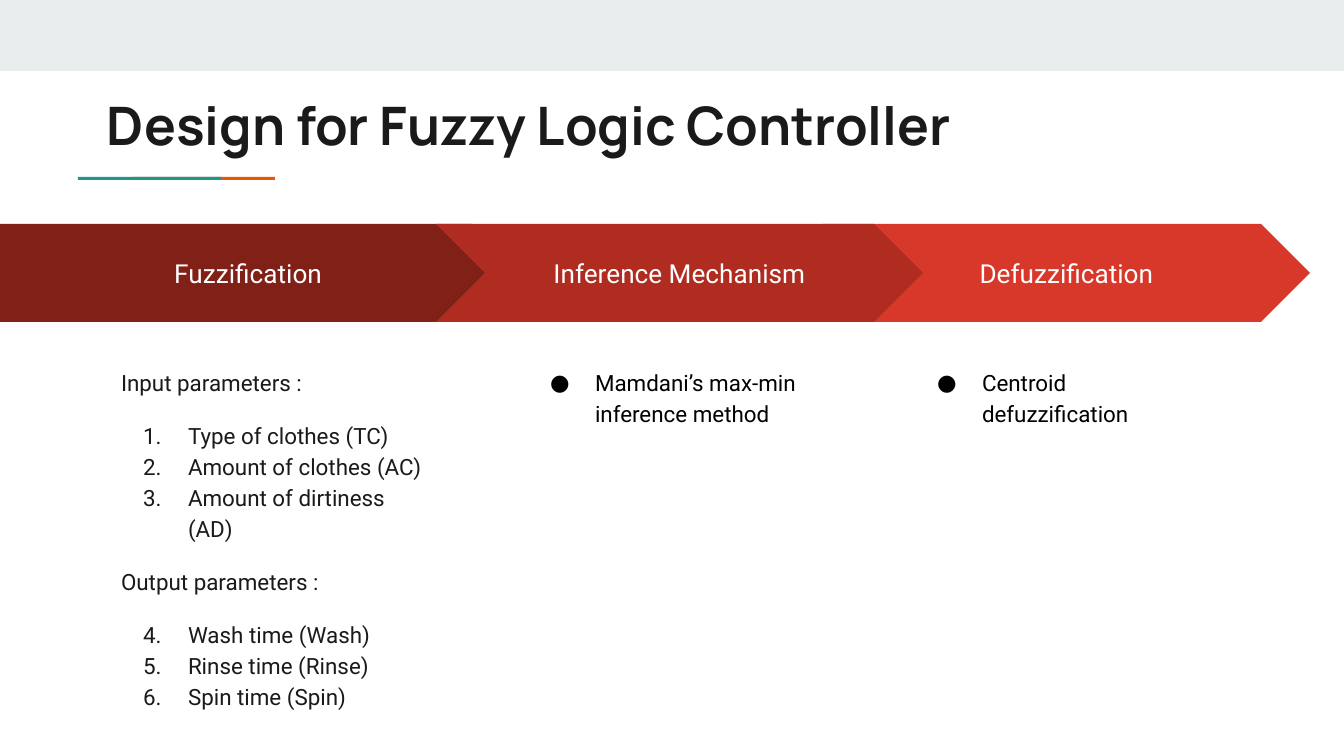
from dataclasses import dataclass

from lxml import etree
from pptx import Presentation
from pptx.dml.color import RGBColor
from pptx.enum.shapes import MSO_SHAPE
from pptx.enum.text import MSO_ANCHOR, MSO_AUTO_SIZE, PP_ALIGN
from pptx.oxml.ns import qn
from pptx.util import Pt

RECTANGLE = MSO_SHAPE.RECTANGLE
CHEVRON = MSO_SHAPE.CHEVRON
PENTAGON = MSO_SHAPE.PENTAGON
TOP, MIDDLE = MSO_ANCHOR.TOP, MSO_ANCHOR.MIDDLE
LEFT, CENTER = PP_ALIGN.LEFT, PP_ALIGN.CENTER
NO_AUTOFIT = MSO_AUTO_SIZE.NONE

EMU_PER_PX = 914400 / 134.4
INSET = 13
COMPARISON_LAYOUT = 4


@dataclass(frozen=True)
class Theme:
    heading_font: str = "Manrope"
    body_font: str = "Roboto"
    title_size: float = 28.4
    step_size: float = 14
    body_size: float = 12
    band: str = "E9EDEE"
    teal: str = "1A9988"
    orange: str = "EB5600"
    dark: str = "1A1A1A"
    black: str = "000000"
    white: str = "FFFFFF"
    fuzzification: str = "802017"
    inference: str = "B02C20"
    defuzzification: str = "D83829"


THEME = Theme()

# Each list item: text, marker ("" for none, a bullet, or a start number), space before
PARAMETERS = [
    ("Input parameters :", "", 0),
    ("Type of clothes (TC)", 1, 12),
    ("Amount of clothes (AC)", 1, 0),
    ("Amount of dirtiness (AD)", 1, 0),
    ("Output parameters :", "", 12),
    ("Wash time (Wash)", 4, 12),
    ("Rinse time (Rinse)", 4, 0),
    ("Spin time (Spin)", 4, 0),
]


def px(length):
    return round(length * EMU_PER_PX)


def place(shape, left, top, width, height):
    shape.left, shape.top = px(left), px(top)
    shape.width, shape.height = px(width), px(height)


def set_frame(text_frame, anchor):
    text_frame.word_wrap = True
    text_frame.auto_size = NO_AUTOFIT
    text_frame.vertical_anchor = anchor
    text_frame.margin_left = text_frame.margin_right = px(INSET)
    text_frame.margin_top = text_frame.margin_bottom = px(INSET)


def format_runs(paragraph, font_name, size, color, bold=False):
    for run in paragraph.runs:
        run.font.name = font_name
        run.font.size = Pt(size)
        run.font.bold = bold
        run.font.color.rgb = RGBColor.from_string(color)


def add_block(slide, kind, box, color):
    shape = slide.shapes.add_shape(kind, *map(px, box))
    shape.shadow.inherit = False
    shape.fill.solid()
    shape.fill.fore_color.rgb = RGBColor.from_string(color)
    shape.line.fill.background()
    return shape


def add_step(slide, kind, left, width, label, color):
    arrow = add_block(slide, kind, (left, 224, width, 98), color)
    arrow.adjustments[0] = 0.5
    set_frame(arrow.text_frame, MIDDLE)
    arrow.text_frame.text = label
    paragraph = arrow.text_frame.paragraphs[0]
    paragraph.alignment = CENTER
    format_runs(paragraph, THEME.body_font, THEME.step_size, THEME.white)


def set_marker(paragraph, marker, color):
    """Give a paragraph its indent and a bullet, a number or no marker."""
    properties = paragraph._p.get_or_add_pPr()
    properties.set("marL", str(px(67) if marker else 0))
    properties.set("indent", str(px(-45) if marker else 0))
    if not marker:
        etree.SubElement(properties, qn("a:buNone"))
        return
    marker_color = etree.SubElement(properties, qn("a:buClr"))
    etree.SubElement(marker_color, qn("a:srgbClr"), val=color)
    etree.SubElement(properties, qn("a:buFont"), typeface=THEME.body_font)
    if isinstance(marker, int):
        etree.SubElement(properties, qn("a:buAutoNum"),
                         type="arabicPeriod", startAt=str(marker))
    else:
        etree.SubElement(properties, qn("a:buChar"), char=marker)


def fill_list(placeholder, left, items, color):
    place(placeholder, left, 352, 329, 384)
    text_frame = placeholder.text_frame
    set_frame(text_frame, TOP)
    text_frame.text = "\n".join(text for text, _, _ in items)
    for paragraph, (_, marker, space_before) in zip(text_frame.paragraphs, items):
        paragraph.alignment = LEFT
        paragraph.line_spacing = 1.15
        paragraph.space_before = Pt(space_before)
        paragraph.space_after = Pt(0)
        set_marker(paragraph, marker, color)
        format_runs(paragraph, THEME.body_font, THEME.body_size, color)


def fill_title(title, text):
    place(title, 94, 79, 1130, 79)
    set_frame(title.text_frame, TOP)
    title.text_frame.text = text
    paragraph = title.text_frame.paragraphs[0]
    paragraph.alignment = LEFT
    paragraph.line_spacing = 1.0
    format_runs(paragraph, THEME.heading_font, THEME.title_size, THEME.dark, bold=True)


def main():
    presentation = Presentation()
    presentation.slide_width, presentation.slide_height = px(1344), px(756)
    slide = presentation.slides.add_slide(presentation.slide_layouts[COMPARISON_LAYOUT])
    title, *lists, spare = [
        shape for shape in slide.placeholders if shape.placeholder_format.idx < 10
    ]
    spare.element.getparent().remove(spare.element)

    add_block(slide, RECTANGLE, (0, 0, 1344, 71), THEME.band)
    add_block(slide, RECTANGLE, (133, 177, 142, 3), THEME.orange)
    add_block(slide, RECTANGLE, (78, 177, 143, 3), THEME.teal)
    fill_title(title, "Design for Fuzzy Logic Controller")

    inference_left, pitch, list_offset = 436, 387, 79
    defuzzification_left = inference_left + pitch
    add_step(slide, CHEVRON, defuzzification_left, 487,
             "Defuzzification", THEME.defuzzification)
    add_step(slide, PENTAGON, 0, 521, "Fuzzification", THEME.fuzzification)
    add_step(slide, CHEVRON, inference_left, 487,
             "Inference Mechanism", THEME.inference)

    fill_list(lists[0], 108, PARAMETERS, THEME.dark)
    fill_list(lists[1], inference_left + list_offset,
              [("Mamdani’s max-min inference method", "●", 0)], THEME.black)
    fill_list(lists[2], defuzzification_left + list_offset,
              [("Centroid defuzzification", "●", 0)], THEME.black)

    presentation.save("out.pptx")


if __name__ == "__main__":
    main()
